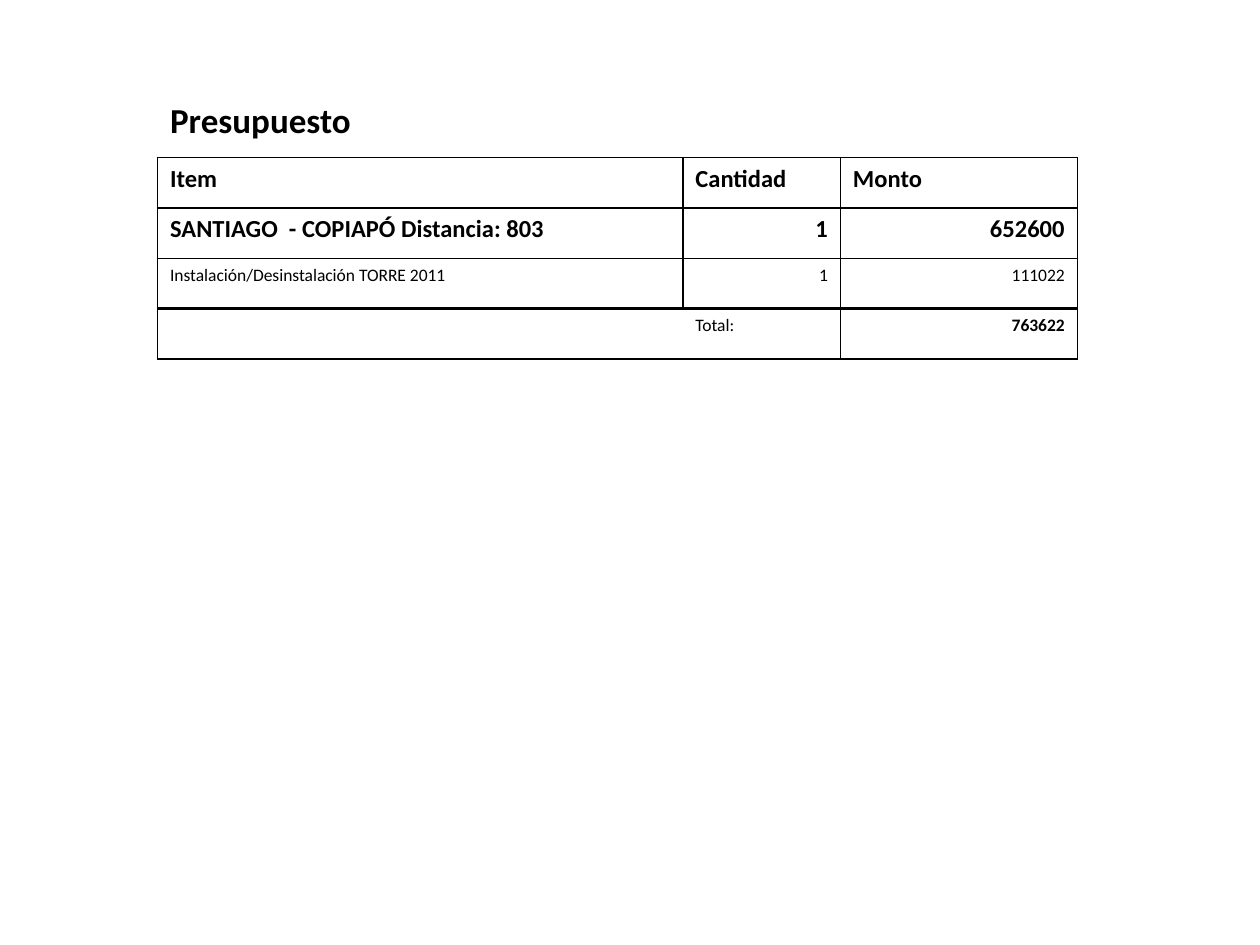
from lxml.etree import SubElement
from pptx import Presentation
from pptx.dml.color import RGBColor
from pptx.enum.text import MSO_ANCHOR, PP_ALIGN
from pptx.oxml.ns import qn
from pptx.util import Inches, Pt

FONT = "Calibri"
INK, PAPER = "000000", "FFFFFF"
LEFT, TABLE_TOP = 1.25, 1.25
COLUMNS = (4.17, 1.25, 1.88)
ROW_HEIGHT = 0.4

# Texts, font size, bold flag of each cell
BUDGET = [
    (("Item", "Cantidad", "Monto"), 14, (True, True, True)),
    (("SANTIAGO  - COPIAPÓ Distancia: 803", "1", "652600"), 14, (True, True, True)),
    (("Instalación/Desinstalación TORRE 2011", "1", "111022"), 10, (False, False, False)),
    (("", "Total:", "763622"), 10, (False, False, True)),
]


def color(hex_code):
    return RGBColor.from_string(hex_code)


def write(paragraph, text, size, bold, align=PP_ALIGN.LEFT):
    paragraph.alignment = align
    if not text:
        paragraph.font.size = Pt(size)
        return
    run = paragraph.add_run()
    run.text = text
    run.font.name = FONT
    run.font.size = Pt(size)
    run.font.bold = bold
    run.font.color.rgb = color(INK)


def set_borders(cell, **widths):
    """Draw the sides L, R, T and B in points; a width of 0 hides the side."""
    properties = cell._tc.get_or_add_tcPr()
    for side in "LRTB":
        width = widths.get(side, 1)
        line = SubElement(properties, qn(f"a:ln{side}"), w=str(Pt(width)))
        if width:
            fill = SubElement(line, qn("a:solidFill"))
            SubElement(fill, qn("a:srgbClr"), val=INK)
        else:
            SubElement(line, qn("a:noFill"))


def add_title(slide, text):
    title = slide.shapes.title
    title.left, title.top = Inches(LEFT), Inches(0.73)
    title.width, title.height = Inches(6.25), Inches(0.5)
    frame = title.text_frame
    frame.word_wrap = True
    frame.vertical_anchor = MSO_ANCHOR.TOP
    write(frame.paragraphs[0], text, 20, True)


def add_budget(slide):
    budget = slide.shapes.add_table(
        len(BUDGET), len(COLUMNS), Inches(LEFT), Inches(TABLE_TOP),
        Inches(sum(COLUMNS)), Inches(ROW_HEIGHT * len(BUDGET))).table
    budget.first_row = budget.horz_banding = False
    for column, width in zip(budget.columns, COLUMNS):
        column.width = Inches(width)

    total_row = len(BUDGET) - 1
    for r, (texts, size, bolds) in enumerate(BUDGET):
        budget.rows[r].height = Inches(ROW_HEIGHT)
        for c, (text, bold) in enumerate(zip(texts, bolds)):
            cell = budget.cell(r, c)
            align = PP_ALIGN.RIGHT if text.isdigit() else PP_ALIGN.LEFT
            write(cell.text_frame.paragraphs[0], text, size, bold, align)
            # Heavier rule above the total, no divider before its label
            is_total = r == total_row
            set_borders(cell,
                        B=2 if r == total_row - 1 else 1,
                        R=0 if is_total and c == 0 else 1,
                        L=0 if is_total and c == 1 else 1)
            if is_total:
                cell.fill.background()
            else:
                cell.fill.solid()
                cell.fill.fore_color.rgb = color(PAPER)


def main():
    deck = Presentation()
    deck.slide_width, deck.slide_height = Inches(10), Inches(7.5)
    slide = deck.slides.add_slide(deck.slide_layouts[5])
    add_title(slide, "Presupuesto")
    add_budget(slide)
    deck.save("out.pptx")


if __name__ == "__main__":
    main()
